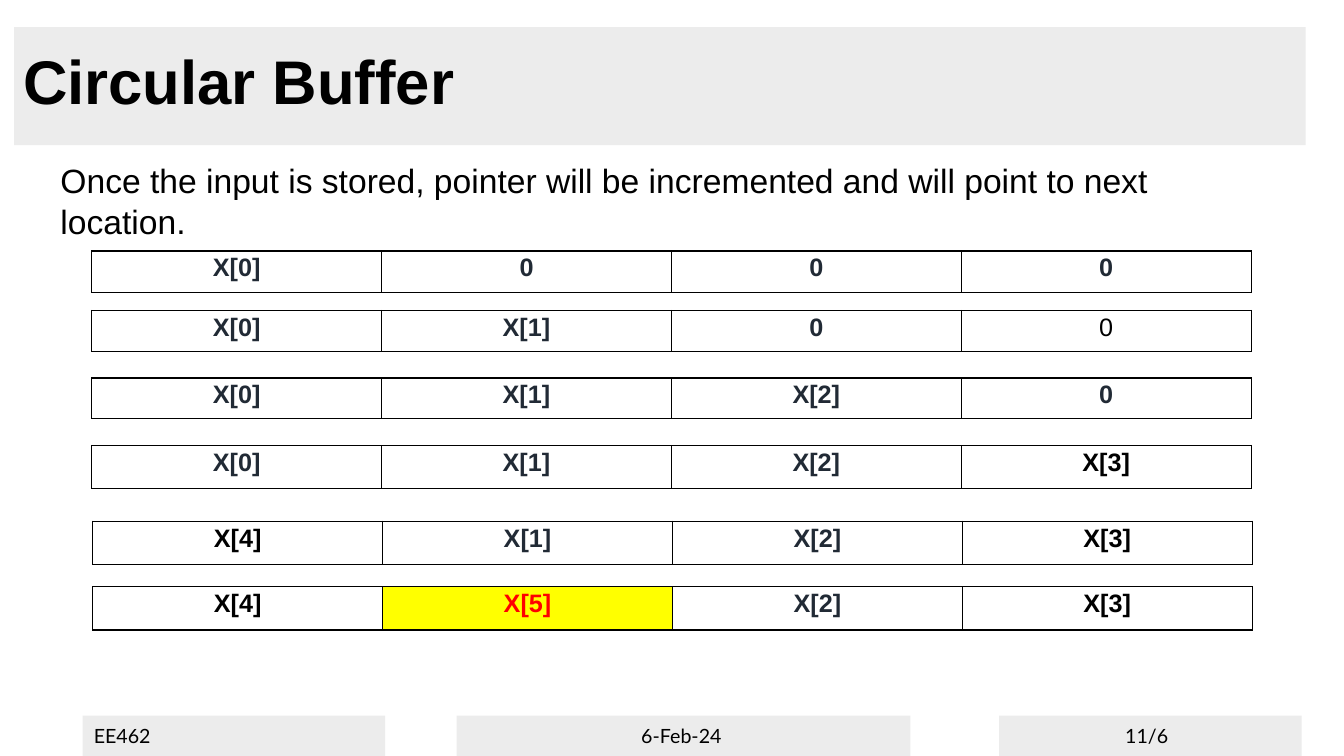
from dataclasses import dataclass

from lxml import etree
from pptx import Presentation
from pptx import util as u
from pptx.dml.color import RGBColor
from pptx.enum import shapes, text
from pptx.oxml.ns import qn


@dataclass(frozen=True)
class Theme:
    black: str = "000000"
    slate: str = "212A35"
    red: str = "FF0000"
    yellow: str = "FFFF00"
    white: str = "FFFFFF"
    band: str = "ECECEC"
    font: str = "Arial"
    footer_font: str = "Lato"
    title_size: int = 44
    body_size: int = 24
    cell_size: int = 18
    footer_size: int = 14
    border: int = 1


def write(tf, content, *, size, font, color, bold=False, align=text.PP_ALIGN.LEFT):
    """Put one formatted paragraph in a text frame."""
    p = tf.paragraphs[0]
    p.alignment = align
    r = p.add_run()
    r.text = content
    r.font.size, r.font.name, r.font.bold = u.Pt(size), font, bold
    r.font.color.rgb = RGBColor.from_string(color)


class SlideBuilder:
    def __init__(self, prs, theme):
        self.theme = theme
        self.s = prs.slides.add_slide(prs.slide_layouts[5])

    def box(self, *inches):
        return [u.Inches(v) for v in inches]

    def frame(self, tf, wrap, top=0):
        tf.margin_left = tf.margin_right = tf.margin_bottom = 0
        tf.margin_top = u.Inches(top)
        tf.word_wrap = wrap
        tf.auto_size = text.MSO_AUTO_SIZE.NONE
        tf.vertical_anchor = text.MSO_ANCHOR.TOP
        return tf

    def title(self, content, x, y, w, h):
        sp = self.s.shapes.title
        sp.left, sp.top, sp.width, sp.height = self.box(x, y, w, h)
        write(self.frame(sp.text_frame, True, 0.01), content, bold=True,
              size=self.theme.title_size, font=self.theme.font,
              color=self.theme.black)
        # Bring the title in front of its band
        sp.element.getparent().append(sp.element)

    def bar(self, x, y, w, h):
        sp = self.s.shapes.add_shape(shapes.MSO_SHAPE.RECTANGLE, *self.box(x, y, w, h))
        sp.shadow.inherit = False
        sp.fill.solid()
        sp.fill.fore_color.rgb = RGBColor.from_string(self.theme.band)
        sp.line.fill.background()

    def label(self, content, x, y, w, h, *, wrap=False, top=0, **style):
        sp = self.s.shapes.add_textbox(*self.box(x, y, w, h))
        write(self.frame(sp.text_frame, wrap, top), content,
              color=self.theme.black, **style)

    def cell_border(self, cell):
        # Border lines must come before the fill in the cell properties
        tc_pr = cell._tc.get_or_add_tcPr()
        for i, side in enumerate(("lnL", "lnR", "lnT", "lnB")):
            ln = etree.Element(qn(f"a:{side}"), w=str(u.Pt(self.theme.border)))
            fill = etree.SubElement(ln, qn("a:solidFill"))
            etree.SubElement(fill, qn("a:srgbClr"), val=self.theme.black)
            tc_pr.insert(i, ln)

    def buffer_row(self, cells, x, y, w, h):
        """Draw one state of the buffer; each cell is (value, color, bold, fill)."""
        tbl = self.s.shapes.add_table(1, len(cells), *self.box(x, y, w, h)).table
        tbl.first_row = tbl.horz_banding = False
        for cell, (value, color, bold, fill) in zip(tbl.iter_cells(), cells):
            cell.margin_left = cell.margin_right = cell.margin_bottom = 0
            cell.margin_top = u.Inches(0.03)
            cell.fill.solid()
            cell.fill.fore_color.rgb = RGBColor.from_string(fill)
            self.cell_border(cell)
            write(cell.text_frame, value, size=self.theme.cell_size,
                  font=self.theme.font, color=color, bold=bold,
                  align=text.PP_ALIGN.CENTER)


def main():
    theme = Theme()
    prs = Presentation()
    prs.slide_width, prs.slide_height = u.Inches(13.33), u.Inches(7.5)
    slide = SlideBuilder(prs, theme)

    # Title
    slide.bar(0.14, 0.27, 12.81, 1.17)
    slide.title("Circular Buffer", 0.23, 0.42, 5.21, 0.76)

    # Explanation
    slide.label("Once the input is stored, pointer will be incremented and will "
                "point to next location.", 0.6, 1.58, 12.05, 0.72, wrap=True,
                top=0.01, size=theme.body_size, font=theme.font)

    # Buffer states, one row per new input
    old = (theme.slate, True, theme.white)
    late = (theme.black, True, theme.white)
    plain = (theme.black, False, theme.white)
    newest = (theme.red, True, theme.yellow)
    looks = {"X[3]": late, "X[4]": late, "X[5]": newest}
    states = [
        (0.91, 2.49, 0.41, ["X[0]", "0", "0", "0"]),
        (0.91, 3.08, 0.41, ["X[0]", "X[1]", "0", "0"]),
        (0.91, 3.75, 0.40, ["X[0]", "X[1]", "X[2]", "0"]),
        (0.91, 4.42, 0.43, ["X[0]", "X[1]", "X[2]", "X[3]"]),
        (0.92, 5.17, 0.43, ["X[4]", "X[1]", "X[2]", "X[3]"]),
        (0.92, 5.82, 0.43, ["X[4]", "X[5]", "X[2]", "X[3]"]),
    ]
    for step, (x, y, h, values) in enumerate(states):
        cells = [(v, *looks.get(v, old)) for v in values]
        if step == 1:
            cells[-1] = (values[-1], *plain)
        slide.buffer_row(cells, x, y, 11.5, h)

    # Footer: bar left and width, then text with its left and width
    for bar_x, bar_w, content, x, w in [
        (0.82, 3, "EE462", 0.93, 0.58),
        (4.53, 4.5, "6-Feb-24", 6.36, 0.92),
        (9.91, 3, "11/6", 11.16, 1.73),
    ]:
        slide.bar(bar_x, 7.1, bar_w, 0.4)
        slide.label(content, x, 7.18, w, 0.25,
                    size=theme.footer_size, font=theme.footer_font)

    prs.save("out.pptx")


if __name__ == "__main__":
    main()
